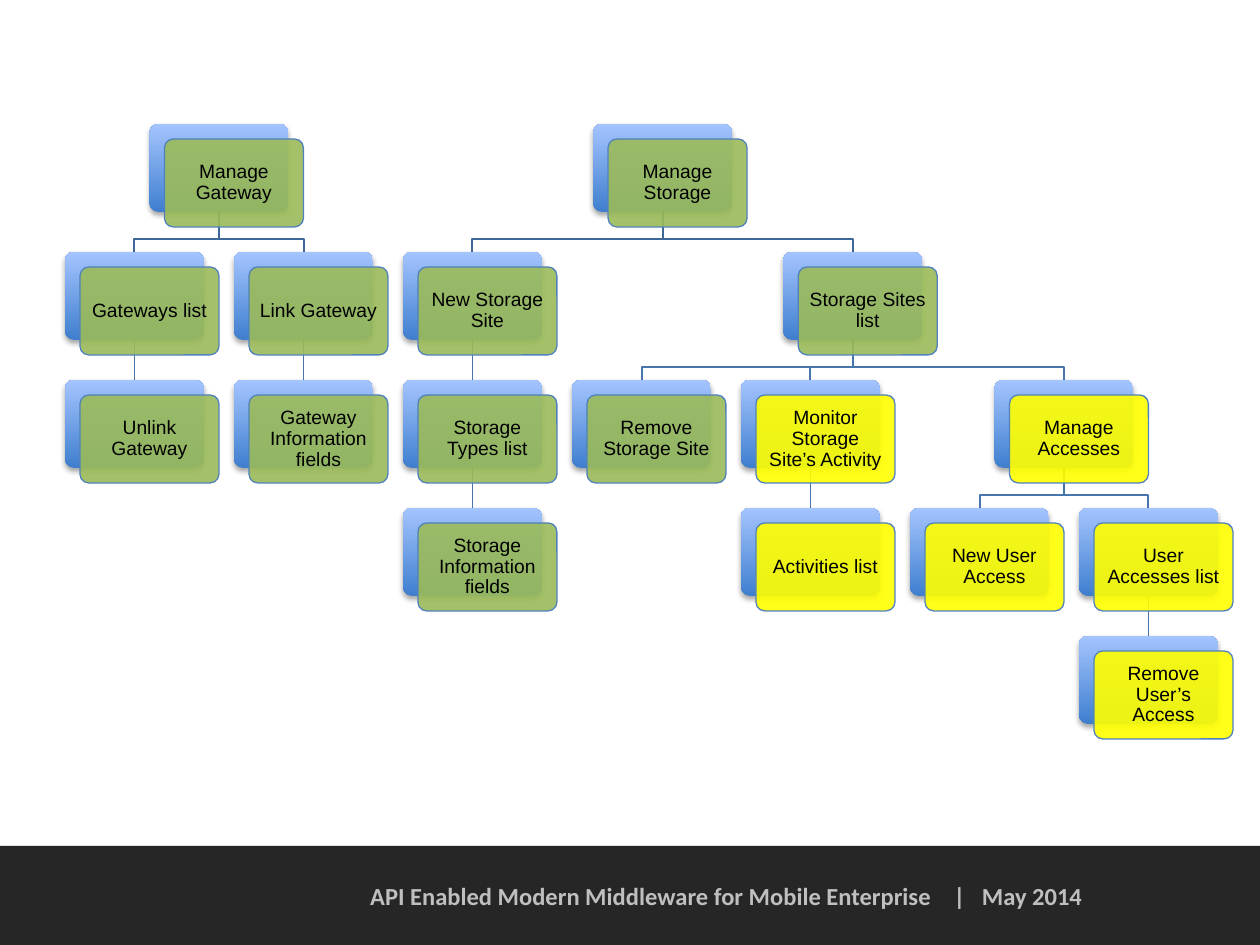
import lxml.etree
import pptx
import pptx.dml.color
import pptx.enum.shapes
import pptx.enum.text
import pptx.oxml.ns
import pptx.util

RGB = pptx.dml.color.RGBColor
GREEN, YELLOW = RGB(0x9B, 0xBB, 0x59), RGB(0xFF, 0xFF, 0x00)
BLUE_DARK, BLUE_LIGHT = RGB(0x3F, 0x7F, 0xCE), RGB(0xA4, 0xC4, 0xFF)
CARD_LINE = RGB(0x4F, 0x81, 0xBD)
LINK_TOP, LINK_LOWER = RGB(0x3F, 0x67, 0x97), RGB(0x48, 0x75, 0xAC)
BAR, FOOTER_TEXT = RGB(0x26, 0x26, 0x26), RGB(0xBF, 0xBF, 0xBF)
BLACK = RGB(0, 0, 0)

PX = 914400 / 126
LEFT, TOP = 65, 124
COL, ROW = 169, 128
CARD_W, CARD_H, OFFSET = 139, 88, 15
BEND = 27
LINE_W = pptx.util.Pt(0.75)
SHAPE = pptx.enum.shapes.MSO_SHAPE
qn = pptx.oxml.ns.qn


def px(*values):
    return [pptx.util.Emu(round(v * PX)) for v in values]


def add_box(kind, x, y, w, h):
    sp = slide.shapes.add_shape(kind, *px(x, y, w, h))
    sp.shadow.inherit = False
    sp.line.fill.background()
    return sp


prs = pptx.Presentation()
prs.slide_width, prs.slide_height = px(1260, 945)
slide = prs.slides.add_slide(prs.slide_layouts[6])

# Footer bar and text
bar = add_box(SHAPE.RECTANGLE, 0, 846, 1260, 99)
bar.fill.solid()
bar.fill.fore_color.rgb = BAR

footer = slide.shapes.add_textbox(*px(150, 876, 941, 89))
tf = footer.text_frame
tf.word_wrap = True
tf.margin_left, tf.margin_right, tf.margin_top, tf.margin_bottom = px(9, 9, 5, 5)
p = tf.paragraphs[0]
p.alignment = pptx.enum.text.PP_ALIGN.RIGHT
p.font.name, p.font.size, p.font.bold = "Calibri", pptx.util.Pt(14), True
p.font.color.rgb = FOOTER_TEXT
for text, spacing in [("API Enabled Modern Middleware for Mobile Enterprise", 0),
                      (" ", 950), ("|", 0), (" ", 630), ("May 2014", 0)]:
    r = p.add_run()
    r.text = text
    if spacing:
        r._r.get_or_add_rPr().set("spc", str(spacing))

# Feature tree, depth first: level, label, colour
nodes = [
    (0, "Manage Gateway", GREEN),
    (1, "Gateways list", GREEN),
    (2, "Unlink Gateway", GREEN),
    (1, "Link Gateway", GREEN),
    (2, "Gateway Information fields", GREEN),
    (0, "Manage Storage", GREEN),
    (1, "New Storage Site", GREEN),
    (2, "Storage Types list", GREEN),
    (3, "Storage Information fields", GREEN),
    (1, "Storage Sites list", GREEN),
    (2, "Remove Storage Site", GREEN),
    (2, "Monitor Storage Site’s Activity", YELLOW),
    (3, "Activities list", YELLOW),
    (2, "Manage Accesses", YELLOW),
    (3, "New User Access", YELLOW),
    (3, "User Accesses list", YELLOW),
    (4, "Remove User’s Access", YELLOW),
]

# Parent of each node is the latest node one level up
children = [[] for _ in nodes]
latest = {}
for i, (level, _, _) in enumerate(nodes):
    latest[level] = i
    if level:
        children[latest[level - 1]].append(i)

# Leaves take successive columns, parents sit midway over their children
columns = {}
leaves = [i for i, kids in enumerate(children) if not kids]
for i in reversed(range(len(nodes))):
    kids = children[i]
    columns[i] = (columns[kids[0]] + columns[kids[-1]]) / 2 if kids else leaves.index(i)

# Cards: blue back plate and translucent front with the label
backs = []
for i, (level, label, color) in enumerate(nodes):
    x, y = LEFT + columns[i] * COL, TOP + level * ROW
    back = add_box(SHAPE.ROUNDED_RECTANGLE, x, y, CARD_W, CARD_H)
    back.adjustments[0] = 0.1
    back.fill.gradient()
    back.fill.gradient_angle = 90
    for stop, stop_color in zip(back.fill.gradient_stops, (BLUE_DARK, BLUE_LIGHT)):
        stop.color.rgb = stop_color
    shadow = lxml.etree.SubElement(
        back.element.spPr.find(qn("a:effectLst")), qn("a:outerShdw"),
        blurRad="39370", dist="22860", dir="5400000", rotWithShape="0")
    shade = lxml.etree.SubElement(shadow, qn("a:srgbClr"), val="000000")
    lxml.etree.SubElement(shade, qn("a:alpha"), val="35000")
    backs.append(back)

    front = add_box(SHAPE.ROUNDED_RECTANGLE, x + OFFSET, y + OFFSET, CARD_W, CARD_H)
    front.adjustments[0] = 0.1
    front.fill.solid()
    front.fill.fore_color.rgb = color
    tint = front.element.spPr.find(qn("a:solidFill")).find(qn("a:srgbClr"))
    lxml.etree.SubElement(tint, qn("a:alpha"), val="90000")
    front.line.color.rgb = CARD_LINE
    front.line.width = LINE_W
    tf = front.text_frame
    tf.word_wrap = True
    tf.vertical_anchor = pptx.enum.text.MSO_ANCHOR.MIDDLE
    tf.margin_left, tf.margin_right, tf.margin_top, tf.margin_bottom = px(8, 8, 8, 8)
    p = tf.paragraphs[0]
    p.text = label
    p.alignment = pptx.enum.text.PP_ALIGN.CENTER
    p.line_spacing = 0.9
    p.font.name, p.font.size = "Arial", pptx.util.Pt(11)
    p.font.color.rgb = BLACK

# Links from parent to child, placed behind the cards
for i, kids in enumerate(children):
    level = nodes[i][0]
    x1 = LEFT + columns[i] * COL + CARD_W / 2
    y1, y2 = TOP + level * ROW + CARD_H, TOP + (level + 1) * ROW
    for kid in kids:
        x2 = LEFT + columns[kid] * COL + CARD_W / 2
        if x1 == x2:
            link = slide.shapes.add_connector(
                pptx.enum.shapes.MSO_CONNECTOR.STRAIGHT, *px(x1, y1, x2, y2))
            link.begin_connect(backs[i], 2)
            link.end_connect(backs[kid], 0)
        else:
            outline = slide.shapes.build_freeform(x1, y1, scale=PX)
            outline.add_line_segments(
                [(x1, y1 + BEND), (x2, y1 + BEND), (x2, y2)], close=False)
            link = outline.convert_to_shape()
            link.fill.background()
        link.line.color.rgb = LINK_LOWER if level else LINK_TOP
        link.line.width = LINE_W
        lxml.etree.SubElement(link.element.spPr, qn("a:effectLst"))
        slide.shapes.element.insert(2, link.element)

prs.save("out.pptx")
